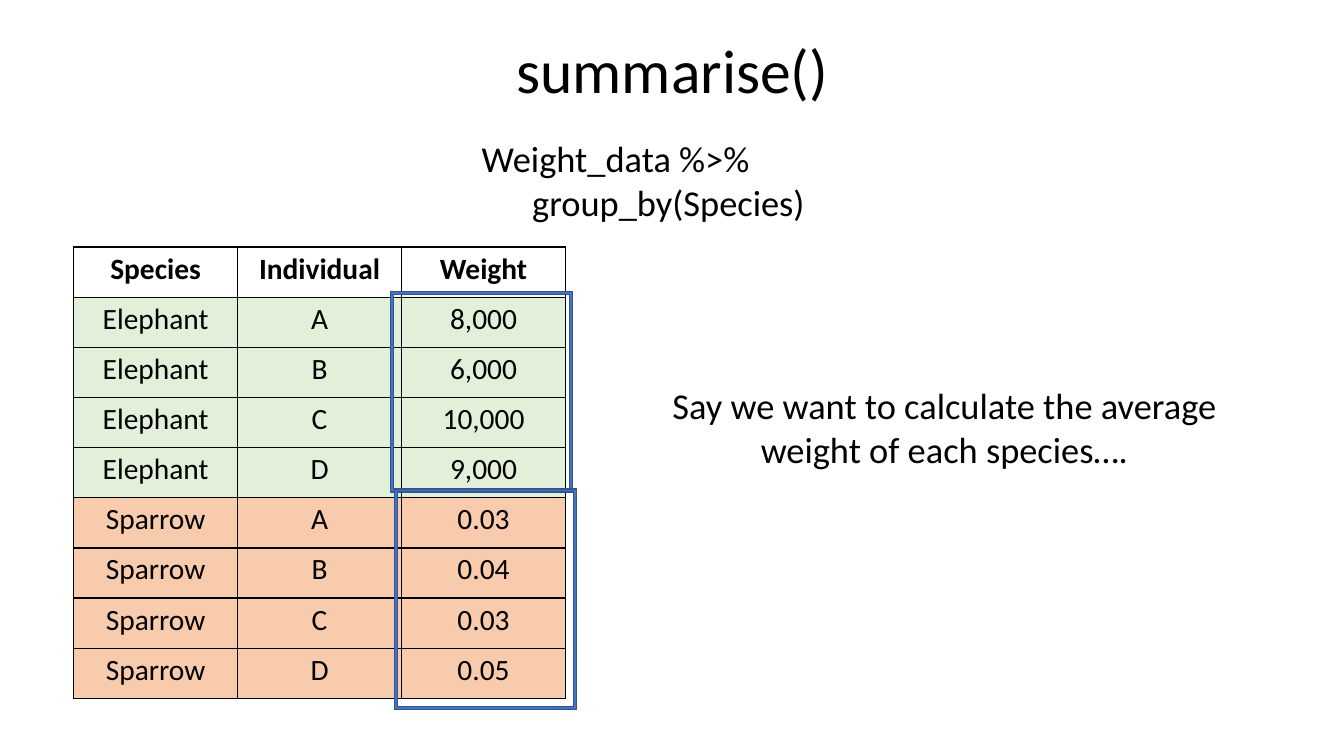
from dataclasses import dataclass

from lxml import etree
from pptx import Presentation
from pptx.dml.color import RGBColor
from pptx.enum import shapes, text
from pptx.oxml import ns
from pptx.util import Inches, Pt


@dataclass(frozen=True)
class Theme:
    font: str = "Calibri"
    ink: str = "000000"
    elephant: str = "E2F0D9"
    sparrow: str = "F8CBAD"
    frame: str = "4472C4"
    frame_line: str = "325491"
    title_size: int = 44
    body_size: int = 26
    table_size: int = 21


theme = Theme()


def format_text(frame, size, align, bold=False):
    for para in frame.paragraphs:
        para.alignment = align
        for span in para.runs:
            span.font.name = theme.font
            span.font.size = Pt(size)
            span.font.bold = bold
            span.font.color.rgb = RGBColor.from_string(theme.ink)


def add_borders(cell):
    properties = cell._tc.get_or_add_tcPr()
    for side in ("a:lnL", "a:lnR", "a:lnT", "a:lnB"):
        line = etree.SubElement(properties, ns.qn(side), w=str(Pt(1)))
        fill = etree.SubElement(line, ns.qn("a:solidFill"))
        etree.SubElement(fill, ns.qn("a:srgbClr"), val=theme.ink)


deck = Presentation()
deck.slide_width = Inches(13.33)
deck.slide_height = Inches(7.5)
page = deck.slides.add_slide(deck.slide_layouts[5])
center = text.PP_ALIGN.CENTER

# Title
title = page.shapes.title
title.left, title.top = Inches(3.72), Inches(0)
title.width, title.height = Inches(5.9), Inches(1.45)
title.text_frame.text = "summarise()"
title.text_frame.vertical_anchor = text.MSO_ANCHOR.MIDDLE
title.text_frame.paragraphs[0].line_spacing = 0.9
format_text(title.text_frame, theme.title_size, center)

# Weight table, one colour per species
header = ("Species", "Individual", "Weight")
weights = {
    "Elephant": (theme.elephant, ("8,000", "6,000", "10,000", "9,000")),
    "Sparrow": (theme.sparrow, ("0.03", "0.04", "0.03", "0.05")),
}
rows = [(header, None)]
for species, (color, values) in weights.items():
    for individual, weight in zip("ABCD", values):
        rows.append(((species, individual, weight), color))

table = page.shapes.add_table(
    len(rows), len(header), Inches(0.73), Inches(2.45), Inches(4.88), Inches(4.48)
).table
table.first_row = False
table.horz_banding = False
for row, (labels, color) in zip(table.rows, rows):
    for cell, label in zip(row.cells, labels):
        cell.text = label
        cell.margin_left = cell.margin_right = Inches(0.07)
        cell.margin_top = cell.margin_bottom = Inches(0.04)
        format_text(cell.text_frame, theme.table_size, center, bold=color is None)
        add_borders(cell)
        if color:
            cell.fill.solid()
            cell.fill.fore_color.rgb = RGBColor.from_string(color)
        else:
            cell.fill.background()

# Code and explanation
notes = (
    ("Weight_data %>%\n\tgroup_by(Species)", 4.68, 1.3, 3.94, False, text.PP_ALIGN.LEFT),
    ("Say we want to calculate the average weight of each species….",
     6.34, 3.75, 6.06, True, center),
)
for words, left, top, width, wrap, align in notes:
    box = page.shapes.add_textbox(Inches(left), Inches(top), Inches(width), Inches(0.98))
    box.text_frame.word_wrap = wrap
    box.text_frame.auto_size = text.MSO_AUTO_SIZE.SHAPE_TO_FIT_TEXT
    box.text_frame.text = words
    format_text(box.text_frame, theme.body_size, align)

# Frames around the weights of each species
for left, top, height in ((3.87, 2.89, 1.99), (3.91, 4.85, 2.19)):
    frame = page.shapes.add_shape(
        shapes.MSO_SHAPE.FRAME, Inches(left), Inches(top), Inches(1.81), Inches(height)
    )
    frame.adjustments[0] = 0.017
    frame.shadow.inherit = False
    frame.fill.solid()
    frame.fill.fore_color.rgb = RGBColor.from_string(theme.frame)
    frame.line.color.rgb = RGBColor.from_string(theme.frame_line)
    frame.line.width = Pt(1)

deck.save("out.pptx")
